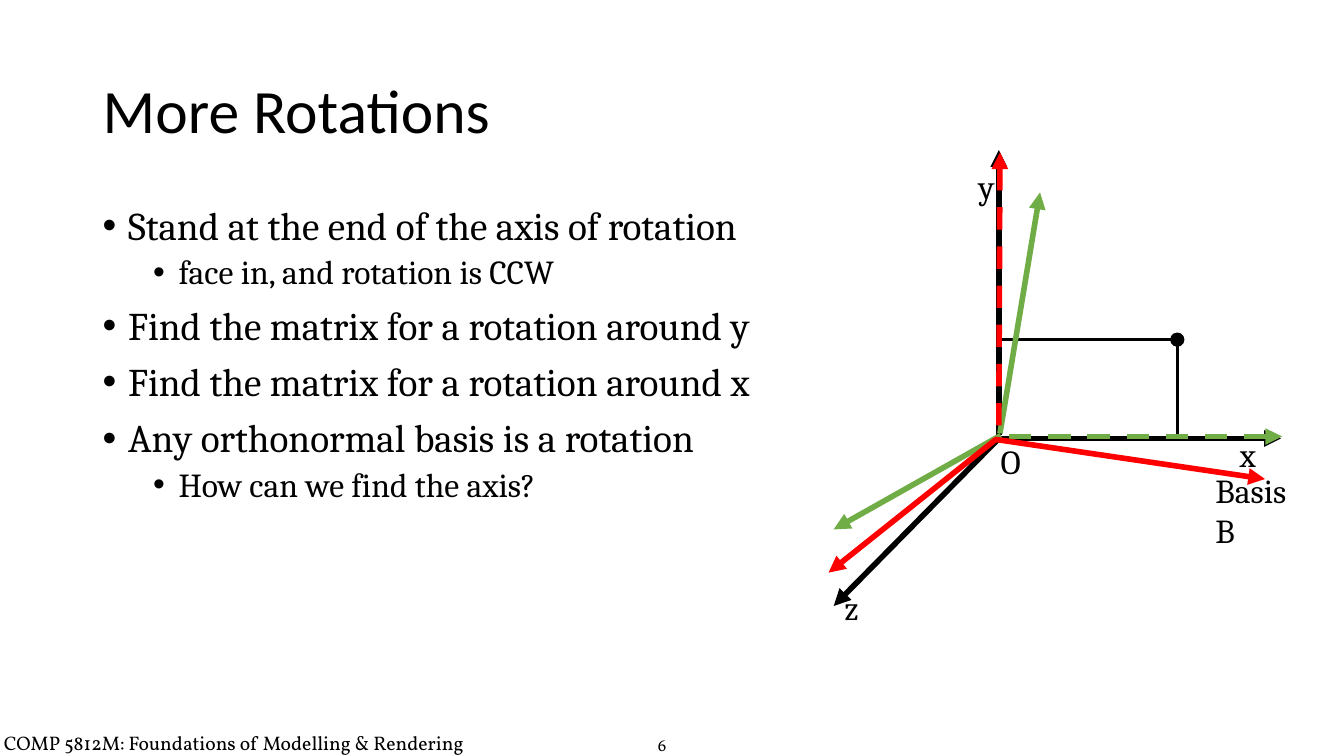
from lxml import etree
from pptx import Presentation
from pptx.dml.color import RGBColor
from pptx.enum.dml import MSO_LINE
from pptx.enum.shapes import MSO_CONNECTOR, MSO_SHAPE
from pptx.enum.text import MSO_ANCHOR
from pptx.oxml.ns import qn
from pptx.util import Cm, Pt

STRAIGHT = MSO_CONNECTOR.STRAIGHT
OVAL = MSO_SHAPE.OVAL
DASH = MSO_LINE.DASH
TOP, MIDDLE = MSO_ANCHOR.TOP, MSO_ANCHOR.MIDDLE

BLACK = RGBColor(0x00, 0x00, 0x00)
GREEN = RGBColor(0x70, 0xAD, 0x47)
RED = RGBColor(0xFF, 0x00, 0x00)

FOOTER = "COMP 5812M: Foundations of Modelling & Rendering"
PAGE_NUMBER = "6"
TITLE = "More Rotations"

# (level, text)
POINTS = [
    (0, "Stand at the end of the axis of rotation"),
    (1, "face in, and rotation is CCW"),
    (0, "Find the matrix for a rotation around y"),
    (0, "Find the matrix for a rotation around x"),
    (0, "Any orthonormal basis is a rotation"),
    (1, "How can we find the axis?"),
]
# Per level: left margin in cm, size and space before in points
LEVELS = [(0.64, 28, 10), (1.91, 24, 5)]
HANGING = 0.64

# Diagram, in cm
POINT = (29.67, 8.56)
POINT_SIZE = 0.36
GUIDE_ENDS = [(29.67, 11.05), (25.22, 8.56)]
# (tip, foot, dashed) for the x, y and z axis of each basis
BASES = [
    (BLACK, [((32.28, 11.05), (25.17, 11.05), False),
             ((25.17, 3.78), (25.17, 10.97), False),
             ((21.01, 15.27), (25.2, 11.02), False)]),
    (GREEN, [((32.31, 11), (25.2, 11), True),
             ((26.21, 4.85), (25.2, 10.92), False),
             ((21.01, 13.34), (25.22, 10.97), False)]),
    (RED, [((31.88, 12.07), (25.07, 11.07), False),
           ((25.2, 3.84), (25.17, 11.07), True),
           ((20.88, 14.43), (25.1, 11.07), False)]),
]
# (text, left, top, width, wraps)
LABELS = [
    ("O", 25.07, 11, 0.76, False),
    ("Basis B", 30.48, 11.73, 2.31, True),
    ("x", 31.09, 10.8, 0.58, False),
    ("y", 24.51, 4.06, 0.61, False),
    ("z", 21.13, 14.68, 0.58, False),
]
LABEL_HEIGHT = 1.12


def add_frame(box, inset=None, anchor=TOP, wrap=True):
    """Add an empty text box and return its text frame."""
    frame = slide.shapes.add_textbox(*map(Cm, box)).text_frame
    frame.word_wrap = wrap
    frame.vertical_anchor = anchor
    if inset is not None:
        frame.margin_left = frame.margin_right = Cm(inset)
        frame.margin_top = frame.margin_bottom = Cm(inset)
    return frame


def write(paragraph, text, font, size, spacing):
    paragraph.text = text
    paragraph.font.name = font
    paragraph.font.size = Pt(size)
    paragraph.font.color.rgb = BLACK
    paragraph.line_spacing = spacing


def set_bullet(paragraph, margin):
    properties = paragraph._p.get_or_add_pPr()
    properties.set("marL", str(Cm(margin)))
    properties.set("indent", str(-Cm(HANGING)))
    etree.SubElement(properties, qn("a:buFont")).set("typeface", "Arial")
    etree.SubElement(properties, qn("a:buChar")).set("char", "•")


def add_line(start, end, color, width, arrow=False, dashed=False):
    """Draw a line; an arrow has its head at the start."""
    line = slide.shapes.add_connector(STRAIGHT, *map(Cm, start + end))
    line.line.color.rgb = color
    line.line.width = Pt(width)
    if dashed:
        line.line.dash_style = DASH
    if arrow:
        head = etree.SubElement(line.line._get_or_add_ln(), qn("a:headEnd"))
        head.set("type", "triangle")
    etree.SubElement(line._element.spPr, qn("a:effectLst"))


prs = Presentation()
prs.slide_width, prs.slide_height = Cm(33.87), Cm(19.05)
slide = prs.slides.add_slide(prs.slide_layouts[6])

footer = add_frame((-0.05, 18.11, 16.03, 0.99), 0.15)
write(footer.paragraphs[0], FOOTER, "Vollkorn", 14, Pt(21))
page = add_frame((16.48, 18.26, 0.89, 0.84), 0.1, MIDDLE, wrap=False)
write(page.paragraphs[0], PAGE_NUMBER, "Vollkorn", 12, Pt(19))
title = add_frame((2.34, 1.02, 29.21, 3.68), anchor=MIDDLE)
write(title.paragraphs[0], TITLE, "Calibri", 44, 0.9)

body = add_frame((2.34, 5.08, 29.21, 12.09))
for i, (level, text) in enumerate(POINTS):
    point = body.add_paragraph() if i else body.paragraphs[0]
    margin, size, before = LEVELS[level]
    write(point, text, "Cambria", size, 0.9)
    point.level = level
    point.space_before = Pt(before)
    set_bullet(point, margin)

for guide_end in GUIDE_ENDS:
    add_line(POINT, guide_end, BLACK, 2)
corner = [center - POINT_SIZE / 2 for center in POINT]
dot = slide.shapes.add_shape(OVAL, *map(Cm, corner + [POINT_SIZE] * 2))
dot.shadow.inherit = False
dot.fill.solid()
dot.fill.fore_color.rgb = BLACK
dot.line.fill.background()

for color, axes in BASES:
    for tip, foot, dashed in axes:
        add_line(tip, foot, color, 4, arrow=True, dashed=dashed)

for text, left, top, width, wraps in LABELS:
    label = add_frame((left, top, width, LABEL_HEIGHT), 0.15, wrap=wraps)
    write(label.paragraphs[0], text, "Cambria", 24, Pt(28))

prs.save("out.pptx")
